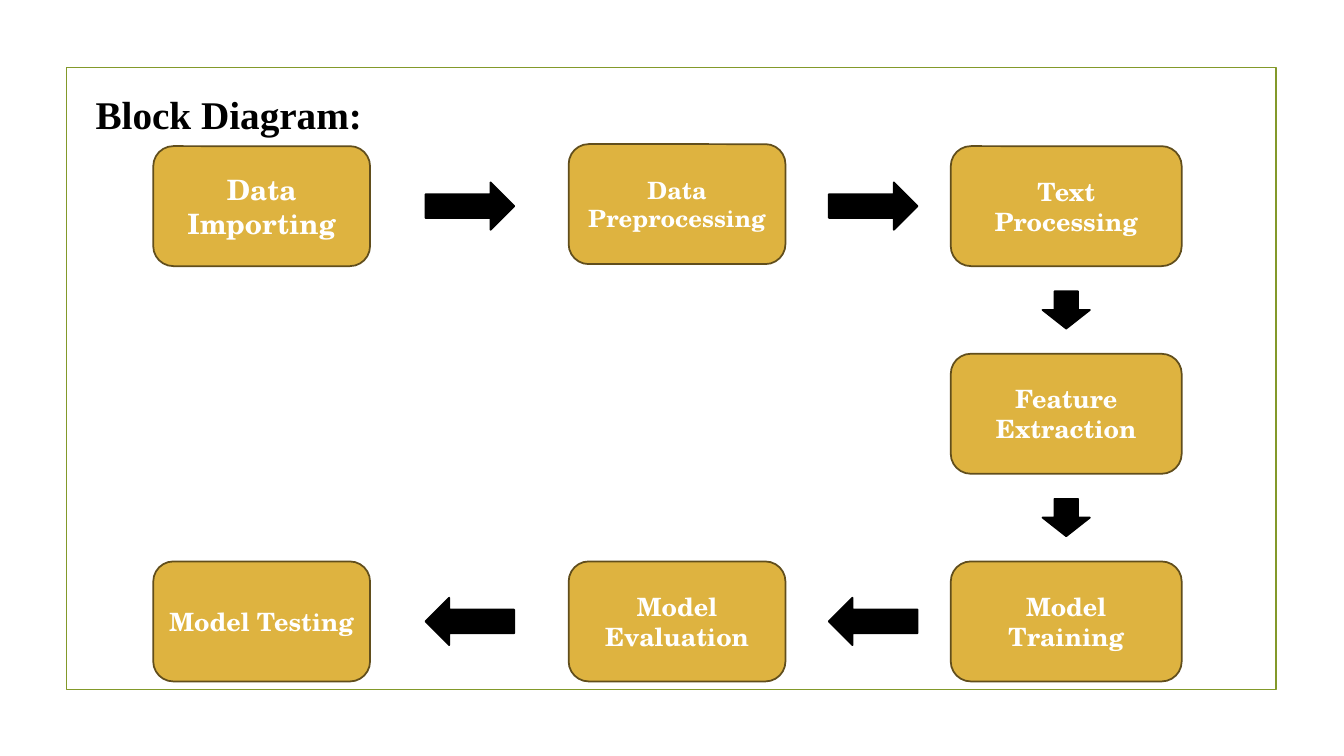
import pptx
import pptx.util
import pptx.dml.color
import pptx.enum.shapes
import pptx.enum.text

Inches = pptx.util.Inches
Pt = pptx.util.Pt
KIND = pptx.enum.shapes.MSO_SHAPE
ALIGN = pptx.enum.text.PP_ALIGN
ANCHOR = pptx.enum.text.MSO_ANCHOR


def write(frame, text, font, size, color, align=ALIGN.LEFT, wrap=True):
    frame.word_wrap = wrap
    para = frame.paragraphs[0]
    para.alignment = align
    run = para.add_run()
    run.text = text
    run.font.name = font
    run.font.size = Pt(size)
    run.font.bold = True
    run.font.color.rgb = pptx.dml.color.RGBColor.from_string(color)


def draw(kind, left, top, width, height, fill, line):
    """Add a preset shape in inches; a fill of None leaves it hollow."""
    shape = slide.shapes.add_shape(
        kind, Inches(left), Inches(top), Inches(width), Inches(height))
    shape.shadow.inherit = False
    if fill:
        shape.fill.solid()
        shape.fill.fore_color.rgb = pptx.dml.color.RGBColor.from_string(fill)
    else:
        shape.fill.background()
    shape.line.color.rgb = pptx.dml.color.RGBColor.from_string(line)
    shape.line.width = Pt(1.25)
    return shape


deck = pptx.Presentation()
deck.slide_width = Inches(13.33)
deck.slide_height = Inches(7.5)
slide = deck.slides.add_slide(deck.slide_layouts[6])

# Frame and title
draw(KIND.RECTANGLE, 0.66, 0.67, 12, 6.17, None, "83992A")
title = slide.shapes.add_textbox(
    Inches(0.85), Inches(0.85), Inches(2.87), Inches(0.57))
write(title.text_frame, "Block Diagram:", "Times New Roman", 28, "000000",
      wrap=False)
title.text_frame.auto_size = pptx.enum.text.MSO_AUTO_SIZE.SHAPE_TO_FIT_TEXT

# Grid: left and width of each column, top of each row
cols = [(1.52, 2.15), (5.64, 2.15), (9.43, 2.29)]
high = 1.19
pitch = 2.06
rows = [1.45 + pitch * n for n in range(3)]

# Steps: text, column, row, text size, vertical nudge
steps = [
    ("Data Importing", 0, 0, 20, 0),
    ("Data Preprocessing", 1, 0, 17, -0.02),
    ("Text Processing", 2, 0, 18, 0),
    ("Feature Extraction", 2, 1, 18, 0),
    ("Model Training", 2, 2, 18, 0),
    ("Model Evaluation", 1, 2, 18, 0),
    ("Model Testing", 0, 2, 18, 0),
]
for text, col, row, size, nudge in steps:
    left, width = cols[col]
    box = draw(KIND.ROUNDED_RECTANGLE, left, rows[row] + nudge, width, high,
               "DEB340", "614E1C")
    box.text_frame.vertical_anchor = ANCHOR.MIDDLE
    write(box.text_frame, text, "TeX Gyre Schola", size, "FFFFFF",
          align=ALIGN.CENTER)

# Arrows: centre x, centre y, length, turn
top_mid = rows[0] + high / 2
low_mid = rows[2] + high / 2
right_mid = cols[2][0] + cols[2][1] / 2
arrows = []
for x in (4.66, 8.66):
    arrows += [(x, top_mid, 0.88, 0), (x, low_mid, 0.88, 180)]
for row in rows[:2]:
    arrows.append((right_mid, row + (high + pitch) / 2, 0.37, 90))

thick = 0.47
for x, y, length, turn in arrows:
    arrow = draw(KIND.RIGHT_ARROW, x - length / 2, y - thick / 2,
                 length, thick, "000000", "000000")
    arrow.rotation = turn

deck.save("out.pptx")
